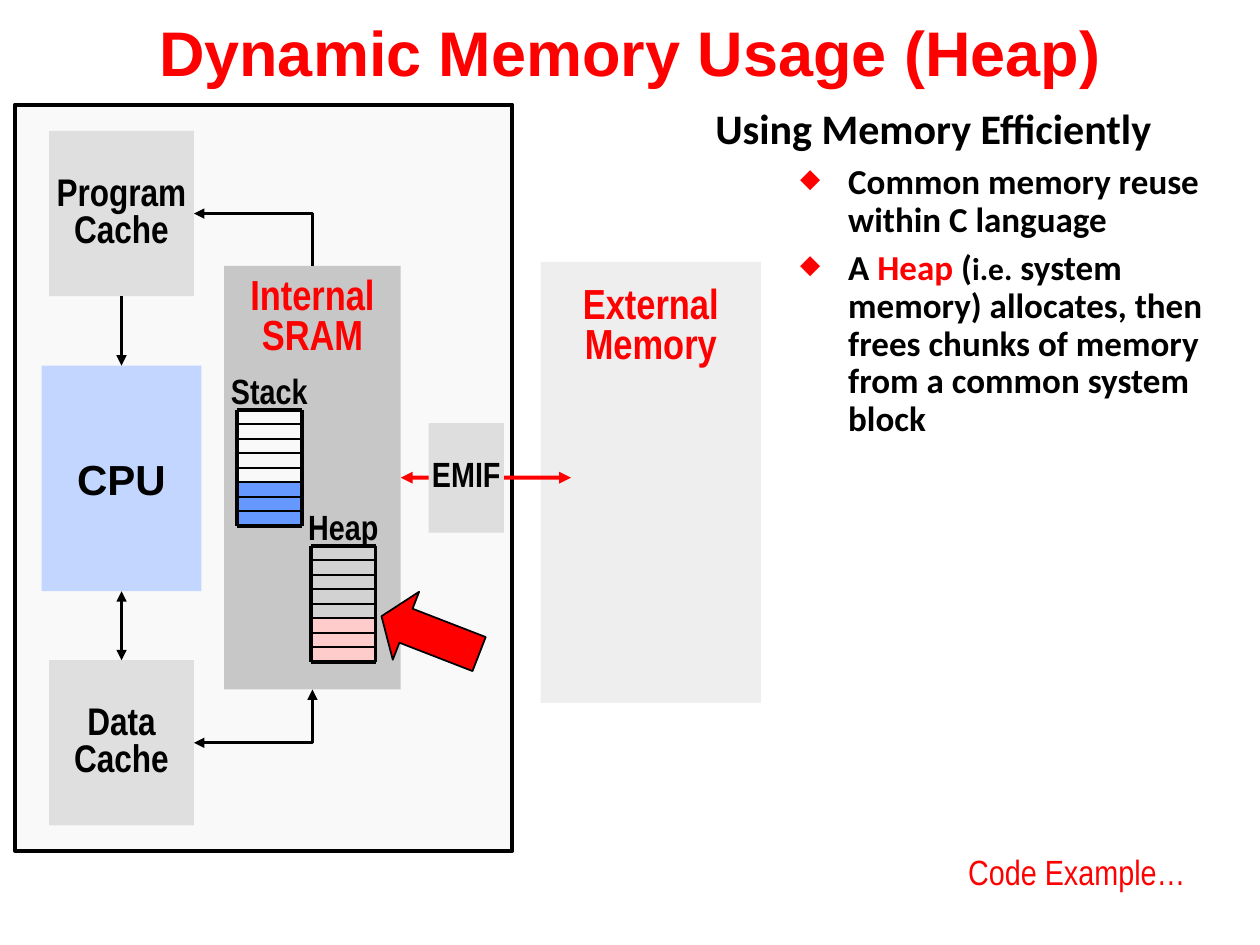
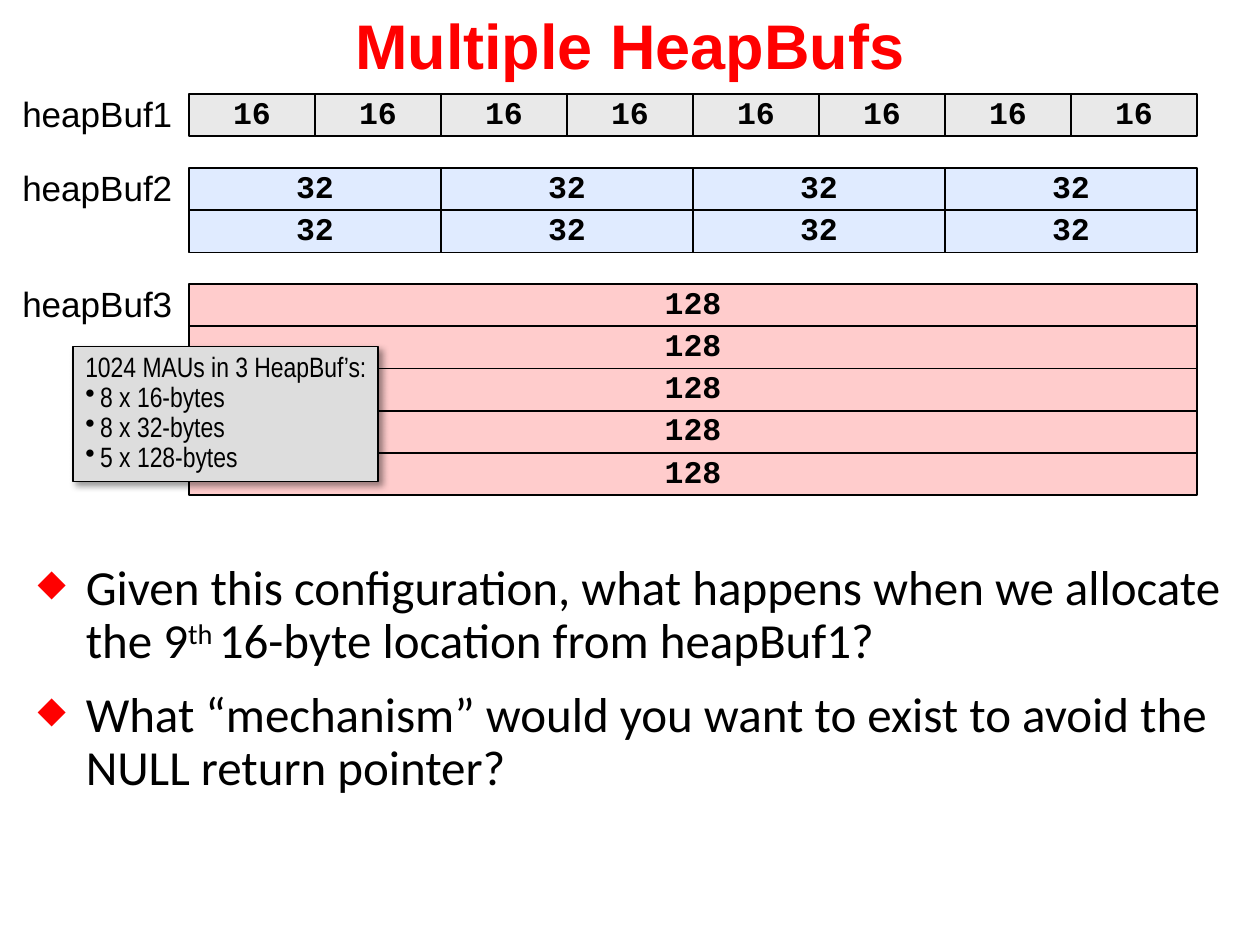
from lxml.etree import SubElement
from pptx import Presentation
from pptx.dml.color import RGBColor
from pptx.enum.shapes import MSO_CONNECTOR, MSO_SHAPE
from pptx.enum.text import MSO_ANCHOR, MSO_AUTO_SIZE, PP_ALIGN
from pptx.oxml.ns import qn
from pptx.util import Cm, Pt

RED = RGBColor(0xFF, 0x00, 0x00)
BLACK = RGBColor(0x00, 0x00, 0x00)
CHIP_GRAY = RGBColor(0xF9, 0xF9, 0xF9)
SRAM_GRAY = RGBColor(0xC7, 0xC7, 0xC7)
MEMORY_GRAY = RGBColor(0xDE, 0xDE, 0xDE)
NOTE_GRAY = RGBColor(0xDD, 0xDD, 0xDD)
BLOCK_GRAY = RGBColor(0xE9, 0xE9, 0xE9)
CPU_BLUE = RGBColor(0xC2, 0xD6, 0xFF)
STACK_BLUE = RGBColor(0x66, 0x99, 0xFF)
BLOCK_BLUE = RGBColor(0xE0, 0xEB, 0xFF)
PINK = RGBColor(0xFF, 0xCC, 0xCC)

NO_MARGINS = (0, 0, 0, 0)
TEXT_MARGINS = (0.25, 0.13, 0.25, 0.13)
DIAMOND = dict(char="◆", indent=0.97, color=RED, percent=75)
DOT = dict(char="•", indent=0.3)
NARROW = dict(font="Arial Narrow", bold=True, align=PP_ALIGN.CENTER, spacing=0.8)

# Slide 1: boxes are left, top, width, height in cm
HEAP_TITLE = "Dynamic Memory Usage (Heap)"
EXTERNAL_BOX = (10.9, 5.28, 4.44, 8.89)
CHIP_BOX = (0.3, 2.11, 10.03, 15.04)
SRAM_BOX = (4.52, 5.36, 3.56, 8.54)
CPU_BOX = (0.84, 7.37, 3.22, 4.55)
PROGRAM_CACHE_BOX = (0.99, 2.64, 2.92, 3.33)
DATA_CACHE_BOX = (0.99, 13.31, 2.92, 3.33)
EMIF_BOX = (8.64, 8.53, 1.52, 2.21)
BUS_END = (11.51, 9.63)
SLOT_WIDTH, SLOTS_HEIGHT, SLOT_COUNT = 1.3, 2.34, 8
# label, left, top, free fill, free opacity, used fill, used slots
MEMORY_STORES = [
    ("Stack", 4.78, 8.26, CHIP_GRAY, 100, STACK_BLUE, 3),
    ("Heap", 6.27, 11.0, MEMORY_GRAY, 50, PINK, 3),
]
EFFICIENCY_HEADING = "Using Memory Efficiently"
EFFICIENCY_POINTS = [
    "Common memory reuse within C language",
    [("A ", {}), ("Heap", {"color": RED}), (" (", {}), ("i.e.", {"size": 18}),
     (" system memory) allocates, then frees chunks of memory "
      "from a common system block", {})],
]
NEXT_TOPIC = "Code Example…"

# Slide 2
BUFS_TITLE = "Multiple HeapBufs"
# name, block size, columns, rows, fill
HEAP_BUFS = [
    ("heapBuf1", "16", 8, 1, BLOCK_GRAY),
    ("heapBuf2", "32", 4, 2, BLOCK_BLUE),
    ("heapBuf3", "128", 1, 5, PINK),
]
BUFS_LEFT, BUFS_TOP, BUFS_WIDTH = 3.81, 1.9, 20.32
BLOCK_HEIGHT, BUF_GAP = 0.85, 0.64
SUMMARY_HEADING = "1024 MAUs in 3 HeapBuf’s:"
SUMMARY_ITEMS = ["8 x 16-bytes", "8 x 32-bytes", "5 x 128-bytes"]
QUESTIONS = [
    [("Given this configuration, what happens when we allocate the 9", {}),
     ("th ", {"superscript": True}), ("16-byte location from heapBuf1?", {})],
    "What “mechanism” would you want to exist to avoid the\nNULL return pointer?",
]


def lengths(values):
    return [Cm(value) for value in values]


def style_run(run, font, size, color=BLACK, bold=False, superscript=False):
    run.font.name = font
    run.font.size = Pt(size)
    run.font.bold = bold
    run.font.color.rgb = color
    if superscript:
        run._r.get_or_add_rPr().set("baseline", "30000")


def add_bullet(paragraph, char, indent, color=None, percent=None):
    properties = paragraph._p.get_or_add_pPr()
    properties.set("marL", str(Cm(indent)))
    properties.set("indent", str(-Cm(indent)))
    if color is not None:
        SubElement(SubElement(properties, qn("a:buClr")), qn("a:srgbClr"), val=str(color))
    if percent:
        SubElement(properties, qn("a:buSzPct"), val=str(percent * 1000))
    SubElement(properties, qn("a:buChar"), char=char)


def write(shape, paragraphs, font, size, color=BLACK, bold=False,
          align=PP_ALIGN.LEFT, spacing=None, before=0, bullet=None, plain_lead=0,
          anchor=MSO_ANCHOR.TOP, margins=TEXT_MARGINS, wrap=True, grow=False):
    """Fill a shape; the first plain_lead paragraphs carry no bullet."""
    frame = shape.text_frame
    frame.word_wrap = wrap
    frame.auto_size = MSO_AUTO_SIZE.SHAPE_TO_FIT_TEXT if grow else MSO_AUTO_SIZE.NONE
    frame.vertical_anchor = anchor
    (frame.margin_left, frame.margin_top,
     frame.margin_right, frame.margin_bottom) = lengths(margins)
    base = dict(font=font, size=size, color=color, bold=bold)
    for index, content in enumerate(paragraphs):
        paragraph = frame.add_paragraph() if index else frame.paragraphs[0]
        paragraph.alignment = align
        if spacing:
            paragraph.line_spacing = spacing
        if index and before:
            paragraph.space_before = Pt(before)
        if bullet and index >= plain_lead:
            add_bullet(paragraph, **bullet)
        if isinstance(content, str):
            paragraph.text = content
            for run in paragraph.runs:
                style_run(run, **base)
        else:
            for text, changes in content:
                run = paragraph.add_run()
                run.text = text
                style_run(run, **{**base, **changes})


def add_text(slide, box, paragraphs, **style):
    write(slide.shapes.add_textbox(*lengths(box)), paragraphs, **style)


def add_block(slide, box, fill, opacity=100, line=None, kind=MSO_SHAPE.RECTANGLE):
    block = slide.shapes.add_shape(kind, *lengths(box))
    block.shadow.inherit = False
    block.fill.solid()
    block.fill.fore_color.rgb = fill
    if opacity < 100:
        color = block._element.spPr.find(qn("a:solidFill"))[0]
        SubElement(color, qn("a:alpha"), val=str(opacity * 1000))
    if line:
        block.line.color.rgb = BLACK
        block.line.width = Pt(line)
    else:
        block.line.fill.background()
    return block


def add_line(slide, start=(0, 0), end=(0, 0), width=1.5, color=BLACK,
             heads=(), joins=(None, None), bent=False):
    """Draw a line; heads names its arrow ends, joins its (shape, side) ends."""
    kind = MSO_CONNECTOR.ELBOW if bent else MSO_CONNECTOR.STRAIGHT
    line = slide.shapes.add_connector(kind, *lengths(start + end))
    line.line.color.rgb = color
    line.line.width = Pt(width)
    for head in heads:
        SubElement(line.line._get_or_add_ln(), qn("a:" + head), type="triangle")
    SubElement(line._element.spPr, qn("a:effectLst"))
    if bent:
        line._element.spPr.find(qn("a:prstGeom")).set("prst", "bentConnector2")
    if joins[0]:
        line.begin_connect(*joins[0])
    if joins[1]:
        line.end_connect(*joins[1])


def add_shadow(shape):
    effects = shape._element.spPr.find(qn("a:effectLst"))
    shadow = SubElement(effects, qn("a:outerShdw"), blurRad=str(Pt(4)), dist=str(Pt(3)),
                        dir=str(45 * 60000), algn="tl", rotWithShape="0")
    color = SubElement(shadow, qn("a:srgbClr"), val=str(BLACK))
    SubElement(color, qn("a:alpha"), val="40000")


def add_title(slide, title, anchor):
    add_text(slide, (0, 0, 25.4, 2.06), [title], font="Arial", size=36, color=RED,
             bold=True, align=PP_ALIGN.CENTER, anchor=anchor)


def add_store(slide, label, left, top, free_fill, free_opacity, used_fill, used):
    """Draw a column of memory slots, the lowest ones used, with its label above."""
    slot_height = SLOTS_HEIGHT / SLOT_COUNT
    right, bottom = left + SLOT_WIDTH, top + SLOTS_HEIGHT
    for slot in range(SLOT_COUNT):
        free = slot < SLOT_COUNT - used
        add_block(slide, (left, top + slot * slot_height, SLOT_WIDTH, slot_height),
                  free_fill if free else used_fill, free_opacity if free else 100)
    for edge in range(SLOT_COUNT + 1):
        y = top + edge * slot_height
        add_line(slide, (left, y), (right, y), 2.25 if edge in (0, SLOT_COUNT) else 1)
    for x in (left, right):
        add_line(slide, (x, top), (x, bottom), 2.25)
    label_width = 1.55
    add_text(slide, (left + (SLOT_WIDTH - label_width) / 2, top - 0.64, label_width, 0.69),
             [label], size=20, margins=NO_MARGINS, wrap=False, grow=True, **NARROW)


def build_heap_slide(slide):
    external = add_block(slide, EXTERNAL_BOX, MEMORY_GRAY, 50)
    write(external, ["External Memory"], size=24, color=RED, margins=(0, 0.51, 0, 0), **NARROW)
    add_title(slide, HEAP_TITLE, MSO_ANCHOR.MIDDLE)
    add_block(slide, CHIP_BOX, CHIP_GRAY, line=2.25)

    sram = add_block(slide, SRAM_BOX, SRAM_GRAY)
    write(sram, ["Internal", "SRAM"], size=24, color=RED, wrap=False,
          margins=(0, 0.25, 0, 0), **NARROW)
    centered = dict(anchor=MSO_ANCHOR.MIDDLE, margins=NO_MARGINS, wrap=False)
    cpu = add_block(slide, CPU_BOX, CPU_BLUE)
    write(cpu, ["CPU"], font="Arial", size=24, bold=True, align=PP_ALIGN.CENTER, **centered)
    program_cache = add_block(slide, PROGRAM_CACHE_BOX, SRAM_GRAY, 50)
    data_cache = add_block(slide, DATA_CACHE_BOX, SRAM_GRAY, 50)
    for cache, label in ((program_cache, "Program\nCache"), (data_cache, "Data\nCache")):
        write(cache, [label], size=22, **NARROW, **centered)

    both = ("headEnd", "tailEnd")
    add_line(slide, heads=["tailEnd"], joins=((program_cache, 2), (cpu, 0)))
    add_line(slide, heads=both, joins=((data_cache, 0), (cpu, 2)))
    add_line(slide, heads=["headEnd"], joins=((program_cache, 3), (sram, 0)), bent=True)
    add_line(slide, heads=both, joins=((data_cache, 3), (sram, 2)), bent=True)
    add_line(slide, end=BUS_END, width=2.25, color=RED, heads=both, joins=((sram, 3), None))
    emif = add_block(slide, EMIF_BOX, MEMORY_GRAY)
    write(emif, ["EMIF"], size=20, **NARROW, **centered)

    add_text(slide, (14.17, 2.13, 9.42, 1.09), [EFFICIENCY_HEADING], font="Calibri",
             size=24, bold=True, spacing=0.8, wrap=False, grow=True)
    for store in MEMORY_STORES:
        add_store(slide, *store)
    add_text(slide, (15.88, 3.18, 9.32, 6.12), EFFICIENCY_POINTS, font="Calibri", size=20,
             bold=True, spacing=0.9, before=6, bullet=DIAMOND, grow=True,
             margins=(0.25, 0.13, 0.25, 0.38))
    add_text(slide, (19.48, 17.15, 4.42, 0.86), [NEXT_TOPIC], font="Arial Narrow", size=20,
             color=RED, align=PP_ALIGN.RIGHT, margins=NO_MARGINS, wrap=False, grow=True)

    heap_pointer = add_block(slide, (7.62, 12.07, 2.11, 1.47), RED, line=1,
                             kind=MSO_SHAPE.LEFT_ARROW)
    heap_pointer.adjustments[1] = 0.36
    heap_pointer.rotation = 21.2


def build_bufs_slide(slide):
    add_title(slide, BUFS_TITLE, MSO_ANCHOR.TOP)
    top = BUFS_TOP
    for name, block_size, columns, rows, fill in HEAP_BUFS:
        width = BUFS_WIDTH / columns
        for row in range(rows):
            for column in range(columns):
                box = (BUFS_LEFT + column * width, top + row * BLOCK_HEIGHT,
                       width, BLOCK_HEIGHT)
                write(add_block(slide, box, fill, line=1), [block_size],
                      font="Courier New", size=18, bold=True, spacing=0.8,
                      align=PP_ALIGN.CENTER, anchor=MSO_ANCHOR.MIDDLE)
        add_text(slide, (0.2, top, 3.56, 0.94), [name], font="Arial", size=20,
                 spacing=0.8, wrap=False, grow=True)
        top += rows * BLOCK_HEIGHT + BUF_GAP

    summary = add_block(slide, (1.47, 6.99, 6.15, 2.72), NOTE_GRAY, line=0.75)
    add_shadow(summary)
    write(summary, [SUMMARY_HEADING] + SUMMARY_ITEMS, font="Arial Narrow", size=16,
          spacing=0.9, bullet=DOT, plain_lead=1, grow=True, margins=(0.25, 0.13, 0, 0.13))
    add_text(slide, (0.51, 11.23, 24.51, 5.0), QUESTIONS, font="Calibri", size=28,
             spacing=0.9, before=12, bullet=DIAMOND, grow=True)


def main():
    deck = Presentation()
    deck.slide_width, deck.slide_height = Cm(25.4), Cm(19.05)
    for build in (build_heap_slide, build_bufs_slide):
        build(deck.slides.add_slide(deck.slide_layouts[6]))
    deck.save("out.pptx")


if __name__ == "__main__":
    main()
